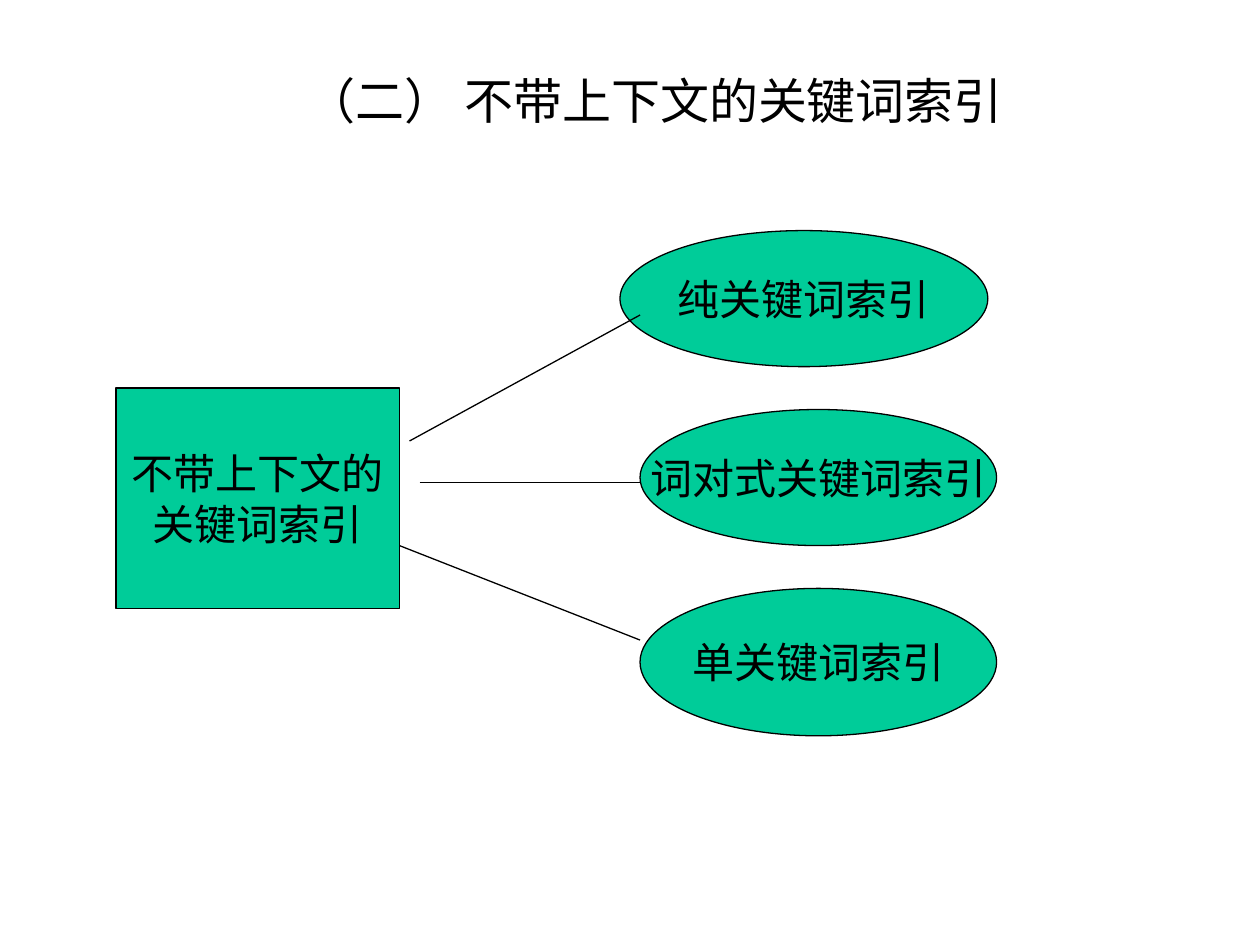
import pptx
import pptx.util
import pptx.dml.color
import pptx.enum.shapes
import pptx.enum.text
import pptx.oxml.ns
from lxml import etree

Inches = pptx.util.Inches
Pt = pptx.util.Pt
SHAPES = pptx.enum.shapes.MSO_SHAPE

GREEN = pptx.dml.color.RGBColor(0x00, 0xCC, 0x99)
BLACK = pptx.dml.color.RGBColor(0x00, 0x00, 0x00)
FONT = "Times New Roman"


def write_text(shape, lines, size, wrap):
    frame = shape.text_frame
    frame.word_wrap = wrap
    frame.vertical_anchor = pptx.enum.text.MSO_ANCHOR.MIDDLE
    frame.text = "\n".join(lines)
    for para in frame.paragraphs:
        para.alignment = pptx.enum.text.PP_ALIGN.CENTER
        para.font.name = FONT
        para.font.size = Pt(size)
        para.font.color.rgb = BLACK


def add_title(page, text):
    box = page.shapes.add_textbox(Inches(0.75), Inches(0.42), Inches(8.5), Inches(0.75))
    write_text(box, [text], 28, True)
    # The wider left inset moves the centred title to the right
    box.text_frame.margin_left = Inches(0.49)


def add_node(page, kind, left, top, width, height, lines):
    node = page.shapes.add_shape(
        kind, Inches(left), Inches(top), Inches(width), Inches(height))
    node.shadow.inherit = False
    node.fill.solid()
    node.fill.fore_color.rgb = GREEN
    node.line.color.rgb = BLACK
    node.line.width = Pt(0.75)
    write_text(node, lines, 24, False)


def add_branch(page, start_x, start_y, end_x, end_y):
    branch = page.shapes.add_connector(
        pptx.enum.shapes.MSO_CONNECTOR.STRAIGHT,
        Inches(start_x), Inches(start_y), Inches(end_x), Inches(end_y))
    branch.line.color.rgb = BLACK
    branch.line.width = Pt(0.75)
    properties = branch.element.spPr
    etree.SubElement(properties, pptx.oxml.ns.qn("a:effectLst"))


def main():
    deck = pptx.Presentation()
    deck.slide_width, deck.slide_height = Inches(10), Inches(7.5)
    page = deck.slides.add_slide(deck.slide_layouts[6])

    add_title(page, "（二） 不带上下文的关键词索引")

    # Root of the tree
    add_node(page, SHAPES.RECTANGLE, 0.92, 3.08, 2.25, 1.75,
             ["不带上下文的", "关键词索引"])

    # Index types
    for left, top, width, height, label in (
        (4.92, 1.83, 2.92, 1.08, "纯关键词索引"),
        (5.08, 3.25, 2.83, 1.08, "词对式关键词索引"),
        (5.08, 4.67, 2.83, 1.17, "单关键词索引"),
    ):
        add_node(page, SHAPES.OVAL, left, top, width, height, [label])

    # Branches from the root to each type
    for start_x, start_y, end_y in (
        (3.25, 3.5, 2.5), (3.33, 3.83, 3.83), (3.17, 4.33, 5.08),
    ):
        add_branch(page, start_x, start_y, 5.08, end_y)

    deck.save("out.pptx")


if __name__ == "__main__":
    main()
